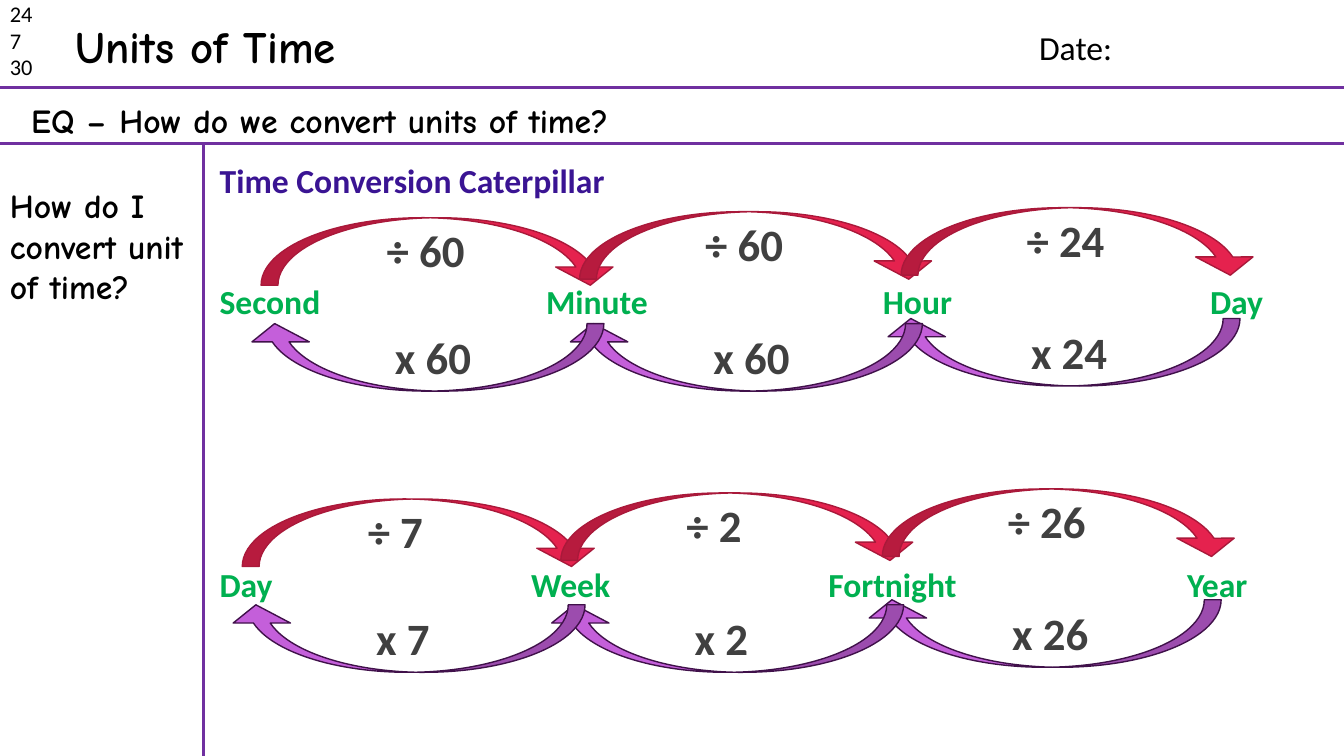
from lxml import etree
from pptx import Presentation
from pptx import util as u
from pptx.dml.color import RGBColor
from pptx.enum import shapes, text
from pptx.oxml.ns import qn

COLORS = {
    "rule": "7030A0", "ink": "000000", "heading": "3A1493", "unit": "00B050",
    "factor": "404040", "divide": "E5224E", "divide_edge": "A9193A",
    "multiply": "C45FDA", "multiply_edge": "40114A",
}
rgb = {name: RGBColor.from_string(value) for name, value in COLORS.items()}

prs = Presentation()
prs.slide_width, prs.slide_height = u.Inches(13.333), u.Inches(7.5)
s = prs.slides.add_slide(prs.slide_layouts[1])


def area(x, y, w=0, h=0):
    """Turn percentages of the slide's width and height into lengths."""
    across, down = prs.slide_width / 100, prs.slide_height / 100
    return [u.Emu(round(n)) for n in (x * across, y * down, w * across, h * down)]


def write(sp, lines, size, color="ink", font="Calibri", bold=True):
    """Fill a shape with left-aligned lines of text."""
    tf = sp.text_frame
    tf.word_wrap = True
    tf.auto_size = text.MSO_AUTO_SIZE.NONE
    for i, line in enumerate(lines):
        p = tf.paragraphs[0] if i == 0 else tf.add_paragraph()
        p.alignment = text.PP_ALIGN.LEFT
        r = p.add_run()
        r.text = line
        r.font.size, r.font.name, r.font.bold = u.Pt(size), font, bold
        r.font.color.rgb = rgb[color]


# Title and heading
title, body = s.placeholders
title.left, title.top, title.width, title.height = area(4.88, 1.73, 21.45, 8.53)
write(title, ["Units of Time"], 32, font="Comic Neue")
title.text_frame.word_wrap = False

body.left, body.top, body.width, body.height = area(15.6, 20.53, 83.33, 6.67)
write(body, ["Time Conversion Caterpillar"], 24, "heading")
heading = body.text_frame.paragraphs[0]
heading.space_before = u.Pt(0)
pPr = heading._p.get_or_add_pPr()
pPr.set("marL", "0")
pPr.set("indent", "0")
etree.SubElement(pPr, qn("a:buNone"))

# Note-page rules
for x1, y1, x2, y2 in [(0, 11.6, 100, 11.6), (0, 18.95, 100, 18.95), (15.15, 18.95, 15.15, 100)]:
    rule = s.shapes.add_connector(shapes.MSO_CONNECTOR.STRAIGHT, *area(x1, y1)[:2], *area(x2, y2)[:2])
    rule.line.color.rgb = rgb["rule"]
    rule.line.width = u.Pt(2.25)
    etree.SubElement(rule._element.spPr, qn("a:effectLst"))

# Header and margin notes
for box, lines, size, font, bold in [
    ((0, -0.67, 4.73, 12.13), ["24", "7", "30"], 16, "Calibri", False),
    ((76.58, 2.93, 17.7, 6.67), ["Date:"], 24, "Calibri", False),
    ((0, 23.87, 15.15, 22.93), ["How do I convert unit of time?"], 24, "Comic Neue", True),
    ((1.58, 12.53, 87, 6.67), ["EQ – How do we convert units of time?"], 24, "Comic Neue", True),
]:
    write(s.shapes.add_textbox(*area(*box)), lines, size, font=font, bold=bold)

# Units of each chain
for y, units in [
    (36.53, [("Second", 15.6), ("Minute", 39.9), ("Hour", 64.95), ("Day", 89.3)]),
    (73.87, [("Day", 15.6), ("Week", 38.78), ("Fortnight", 60.9), ("Year", 87.6)]),
]:
    for unit, x in units:
        name = s.shapes.add_textbox(*area(x, y, 10.6, 6.67))
        write(name, [unit], 24, "unit")
        name.text_frame.margin_right = 0

# Conversion arrows: dividing above the units, multiplying below, right to left
divide_spots = [(19.43, 28.8), (43.13, 28), (67.05, 27.47)]
multiply_spots = [(65.63, 42.13), (42, 42.8), (18.3, 42.8)]
for factors, shift_x, shift_y in [((60, 60, 24), 0, 0), ((7, 2, 26), -1.4, 37.2)]:
    for kind, sign, spots, ordered, turn, label_x, label_y in [
        ("divide", "÷", divide_spots, factors, 0, 8.6, 0),
        ("multiply", "x", multiply_spots, factors[::-1], 180, 10.35, 0.13),
    ]:
        for (x, y), factor in zip(spots, ordered):
            x, y = x + shift_x, y + shift_y
            arrow = s.shapes.add_shape(shapes.MSO_SHAPE.CURVED_DOWN_ARROW, *area(x, y, 26.63, 8.93))
            for i, value in enumerate((0.25, 0.85, 0.27)):
                arrow.adjustments[i] = value
            arrow.rotation = turn
            arrow.shadow.inherit = False
            arrow.fill.solid()
            arrow.fill.fore_color.rgb = rgb[kind]
            arrow.line.color.rgb = rgb[kind + "_edge"]
            arrow.line.width = u.Pt(1)
            label = s.shapes.add_textbox(*area(x + label_x, y + label_y, 9, 8.53))
            write(label, [f"{sign} {factor}"], 32, "factor")

prs.save("out.pptx")
